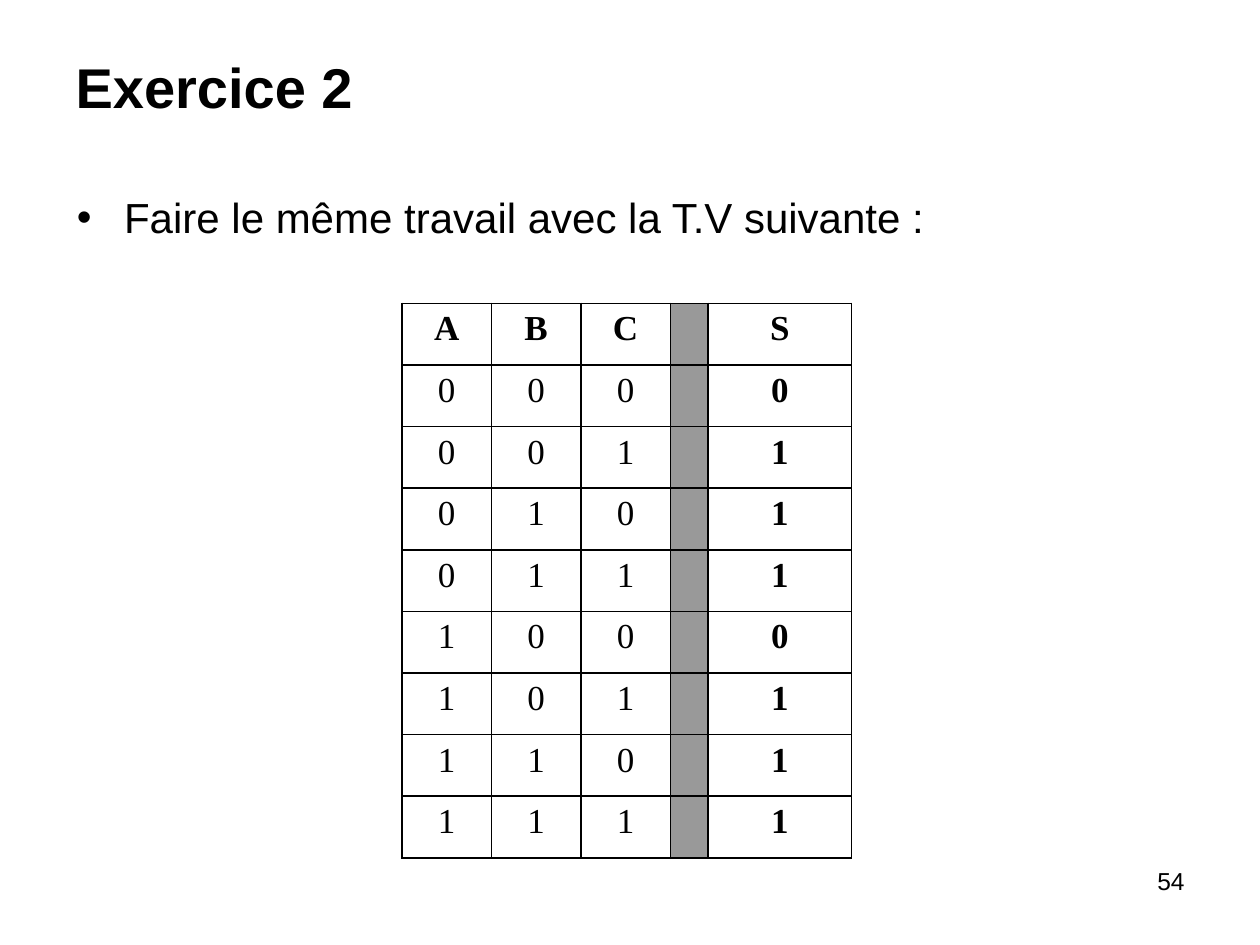
"""Build the truth-table exercise slide."""
from itertools import product

from lxml.etree import SubElement
from pptx import Presentation
from pptx.dml.color import RGBColor
from pptx.enum.text import MSO_ANCHOR as Anchor, MSO_AUTO_SIZE as AutoSize, PP_ALIGN as Align
from pptx.oxml.ns import qn
from pptx.util import Inches, Pt

WIDTH, HEIGHT = 10, 7.5
INK, SPACER = "000000", "999999"
SPACER_COL, RESULT_COL = 3, 4


def color(hex_code):
    """Turn a hex string into a colour."""
    return RGBColor.from_string(hex_code)


def box(left, top, width, height):
    """Turn shares of the slide's size into a position and a size."""
    return (Inches(left * WIDTH), Inches(top * HEIGHT),
            Inches(width * WIDTH), Inches(height * HEIGHT))


def add_text(tf, text, size, align=Align.LEFT, font="Arial", bold=False):
    """Write one formatted run in the first paragraph of a text frame."""
    p = tf.paragraphs[0]
    p.alignment = align
    r = p.add_run()
    r.text = text
    r.font.name, r.font.size, r.font.bold = font, Pt(size), bold
    r.font.color.rgb = color(INK)


def fill_placeholder(sp, place, text, size, anchor, bold=False):
    """Move a placeholder and write its text."""
    sp.left, sp.top, sp.width, sp.height = place
    tf = sp.text_frame
    tf.auto_size, tf.vertical_anchor = AutoSize.NONE, anchor
    add_text(tf, text, size, bold=bold)


def add_page_number(s, text):
    """Add the page number at the lower right."""
    tf = s.shapes.add_textbox(*box(0.717, 0.91, 0.233, 0.07)).text_frame
    tf.word_wrap = True
    add_text(tf, text, 14, Align.RIGHT)


def set_borders(cell):
    """Draw a thin line on each side of a cell."""
    tc_pr = cell._tc.get_or_add_tcPr()
    for i, side in enumerate(("lnL", "lnR", "lnT", "lnB")):
        ln = tc_pr.makeelement(qn(f"a:{side}"), {"w": str(Pt(1))})
        SubElement(SubElement(ln, qn("a:solidFill")), qn("a:srgbClr"), val=INK)
        tc_pr.insert(i, ln)


def add_truth_table(s, rows, place, col_widths):
    """Add a truth table with a grey column before the result."""
    table = s.shapes.add_table(len(rows), len(col_widths), *place).table
    table.first_row = table.horz_banding = False
    for col, width in zip(table.columns, col_widths):
        col.width = Inches(width)
    for i, row in enumerate(rows):
        for j, value in enumerate(row):
            cell = table.cell(i, j)
            if j == SPACER_COL:
                cell.fill.solid()
                cell.fill.fore_color.rgb = color(SPACER)
            else:
                cell.fill.background()
                add_text(cell.text_frame, str(value), 20, Align.CENTER,
                         "Times New Roman", i == 0 or j == RESULT_COL)
            set_borders(cell)


def main():
    """Build and save the slide."""
    prs = Presentation()
    prs.slide_width, prs.slide_height = Inches(WIDTH), Inches(HEIGHT)
    s = prs.slides.add_slide(prs.slide_layouts[1])
    title, body = s.placeholders
    fill_placeholder(title, box(0.05, 0.04, 0.9, 0.103), "Exercice 2", 32,
                     Anchor.MIDDLE, True)
    fill_placeholder(body, box(0.051, 0.196, 0.836, 0.109),
                     "Faire le même travail avec la T.V suivante :", 24, Anchor.TOP)
    rows = [("A", "B", "C", "", "S")]
    rows += [(a, b, c, "", b | c) for a, b, c in product((0, 1), repeat=3)]
    add_truth_table(s, rows, box(0.319, 0.321, 0.357, 0.587),
                    (0.71, 0.71, 0.71, 0.3, 1.14))
    add_page_number(s, "54")
    prs.save("out.pptx")


if __name__ == "__main__":
    main()
